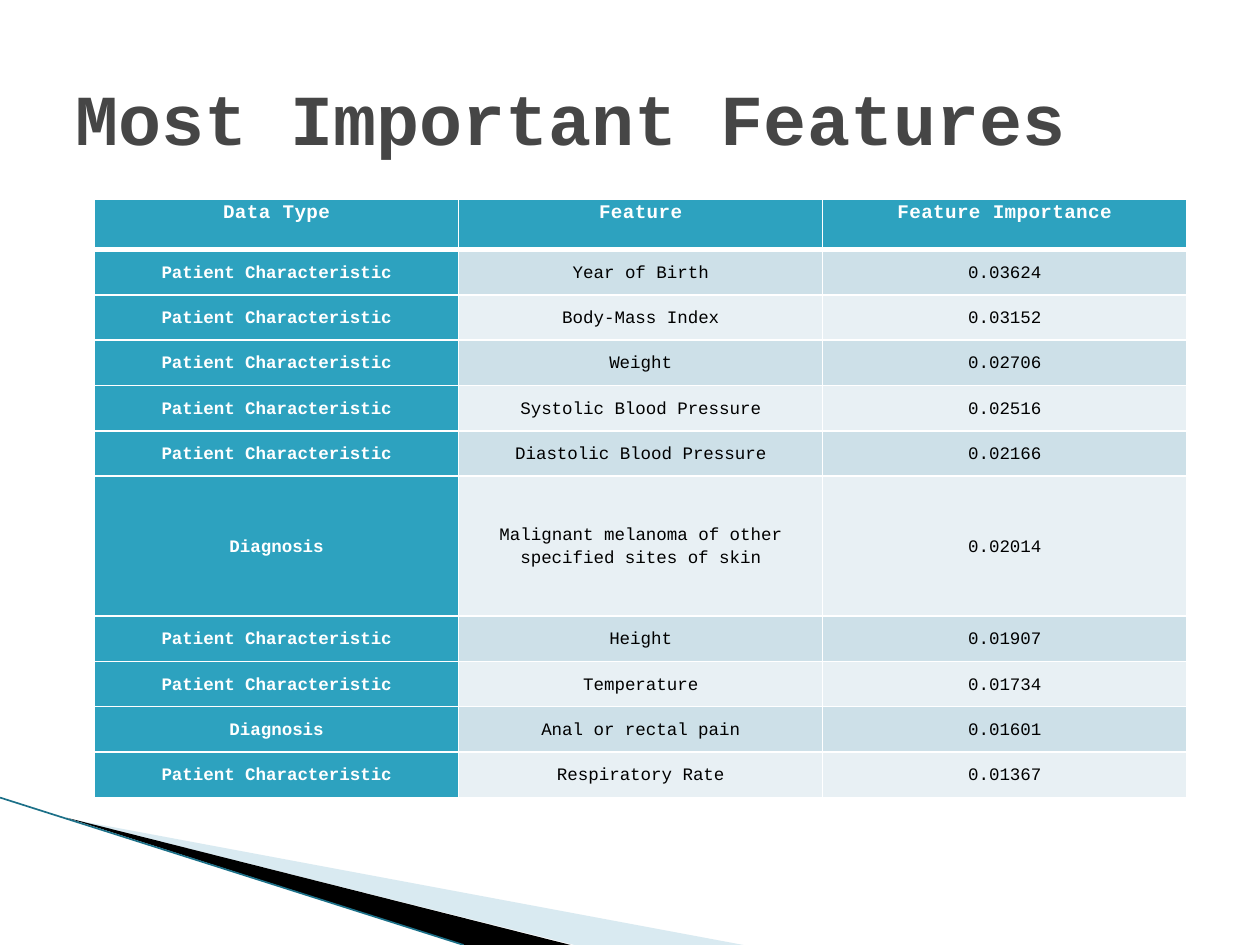
"""Build the slide that ranks the most important features."""
from dataclasses import dataclass

from lxml.etree import SubElement
from pptx import Presentation
from pptx.dml.color import RGBColor
from pptx.enum.shapes import MSO_CONNECTOR
from pptx.enum.text import MSO_ANCHOR, PP_ALIGN
from pptx.oxml.ns import qn
from pptx.slide import Slide
from pptx.table import _Cell
from pptx.util import Inches, Pt


@dataclass(frozen=True)
class Theme:
    font: str = "Courier New"
    title_size: float = 41
    header_size: float = 11
    body_size: float = 10
    title: str = "464646"
    accent: str = "2DA2BF"
    bands: tuple[str, str] = ("CDE0E8", "E8F0F4")
    white: str = "FFFFFF"
    black: str = "000000"
    pale_wedge: str = "A0CBDC"
    edge: str = "1C7088"


@dataclass(frozen=True)
class Feature:
    name: str
    importance: str
    data_type: str = "Patient Characteristic"
    height: float = 0.36


@dataclass(frozen=True)
class Wedge:
    points: tuple[tuple[float, float], ...]
    color: str
    opacity: int = 100


THEME = Theme()
HEADINGS = ("Data Type", "Feature", "Feature Importance")
HEADER_HEIGHT = 0.4
COLUMN_WIDTH = 2.89
FEATURES = (
    Feature("Year of Birth", "0.03624"),
    Feature("Body-Mass Index", "0.03152"),
    Feature("Weight", "0.02706"),
    Feature("Systolic Blood Pressure", "0.02516"),
    Feature("Diastolic Blood Pressure", "0.02166"),
    Feature("Malignant melanoma of other specified sites of skin", "0.02014", "Diagnosis", 1.11),
    Feature("Height", "0.01907"),
    Feature("Temperature", "0.01734"),
    Feature("Anal or rectal pain", "0.01601", "Diagnosis"),
    Feature("Respiratory Rate", "0.01367"),
)
WEDGES = (
    Wedge(((0.55, 6.5), (5.9, 7.5), (4.56, 7.5)), THEME.pale_wedge, 40),
    Wedge(((0.53, 6.49), (4.53, 7.5), (3.68, 7.5)), THEME.black),
)


def rgb(color: str) -> RGBColor:
    return RGBColor.from_string(color)


def draw_wedge(slide: Slide, wedge: Wedge) -> None:
    start, *others = [(Inches(x), Inches(y)) for x, y in wedge.points]
    builder = slide.shapes.build_freeform(*start)
    builder.add_line_segments(others)
    outline = builder.convert_to_shape()
    outline.shadow.inherit = False
    outline.line.fill.background()
    outline.fill.solid()
    outline.fill.fore_color.rgb = rgb(wedge.color)
    if wedge.opacity < 100:
        color = next(outline._element.spPr.iter(qn("a:srgbClr")))
        SubElement(color, qn("a:alpha"), val=str(wedge.opacity * 1000))


def draw_edge(slide: Slide) -> None:
    edge = slide.shapes.add_connector(
        MSO_CONNECTOR.STRAIGHT, Inches(0), Inches(6.33), Inches(3.68), Inches(7.5)
    )
    edge.line.color.rgb = rgb(THEME.edge)
    edge.line.width = Pt(0.95)
    SubElement(edge._element.spPr, qn("a:effectLst"))


def draw_title(slide: Slide) -> None:
    title = slide.shapes.add_textbox(Inches(0.5), Inches(0.3), Inches(9), Inches(1.25))
    frame = title.text_frame
    frame.word_wrap = True
    frame.vertical_anchor = MSO_ANCHOR.MIDDLE
    frame.text = "Most Important Features"
    font = frame.paragraphs[0].runs[0].font
    font.name, font.size, font.bold = THEME.font, Pt(THEME.title_size), True
    font.color.rgb = rgb(THEME.title)


def set_borders(cell: _Cell, row: int) -> None:
    widths = {"L": 1, "R": 1, "T": 3 if row == 1 else 1, "B": 3 if row == 0 else 1}
    properties = cell._tc.get_or_add_tcPr()
    for side, width in widths.items():
        border = SubElement(properties, qn(f"a:ln{side}"), w=str(Pt(width)))
        SubElement(SubElement(border, qn("a:solidFill")), qn("a:srgbClr"), val=THEME.white)


def fill_cell(cell: _Cell, text: str, row: int, column: int) -> None:
    is_header = row == 0
    is_accent = is_header or column == 0
    set_borders(cell, row)
    cell.fill.solid()
    cell.fill.fore_color.rgb = rgb(THEME.accent if is_accent else THEME.bands[(row - 1) % 2])
    cell.margin_left = cell.margin_right = Inches(0.07)
    cell.margin_top = cell.margin_bottom = 0
    cell.vertical_anchor = MSO_ANCHOR.TOP if is_header else MSO_ANCHOR.MIDDLE
    cell.text_frame.text = text
    paragraph = cell.text_frame.paragraphs[0]
    paragraph.alignment = PP_ALIGN.CENTER
    paragraph.line_spacing = 1.15
    run = paragraph.runs[0]
    run.font.name = THEME.font
    run.font.size = Pt(THEME.header_size if is_header else THEME.body_size)
    run.font.bold = is_accent
    run.font.color.rgb = rgb(THEME.white if is_accent else THEME.black)
    if is_header:
        run._r.get_or_add_rPr().set("spc", "20")


def draw_table(slide: Slide) -> None:
    rows = [HEADINGS] + [(item.data_type, item.name, item.importance) for item in FEATURES]
    heights = [HEADER_HEIGHT] + [item.height for item in FEATURES]
    table = slide.shapes.add_table(
        len(rows), len(HEADINGS), Inches(0.75), Inches(1.58),
        Inches(COLUMN_WIDTH * len(HEADINGS)), Inches(sum(heights)),
    ).table
    for column in table.columns:
        column.width = Inches(COLUMN_WIDTH)
    for row, (texts, height) in enumerate(zip(rows, heights)):
        table.rows[row].height = Inches(height)
        for column, text in enumerate(texts):
            fill_cell(table.cell(row, column), text, row, column)


def main() -> None:
    deck = Presentation()
    deck.slide_width, deck.slide_height = Inches(10), Inches(7.5)
    slide = deck.slides.add_slide(deck.slide_layouts[6])
    for wedge in WEDGES:
        draw_wedge(slide, wedge)
    draw_edge(slide)
    draw_table(slide)
    draw_title(slide)
    deck.save("out.pptx")


main()
